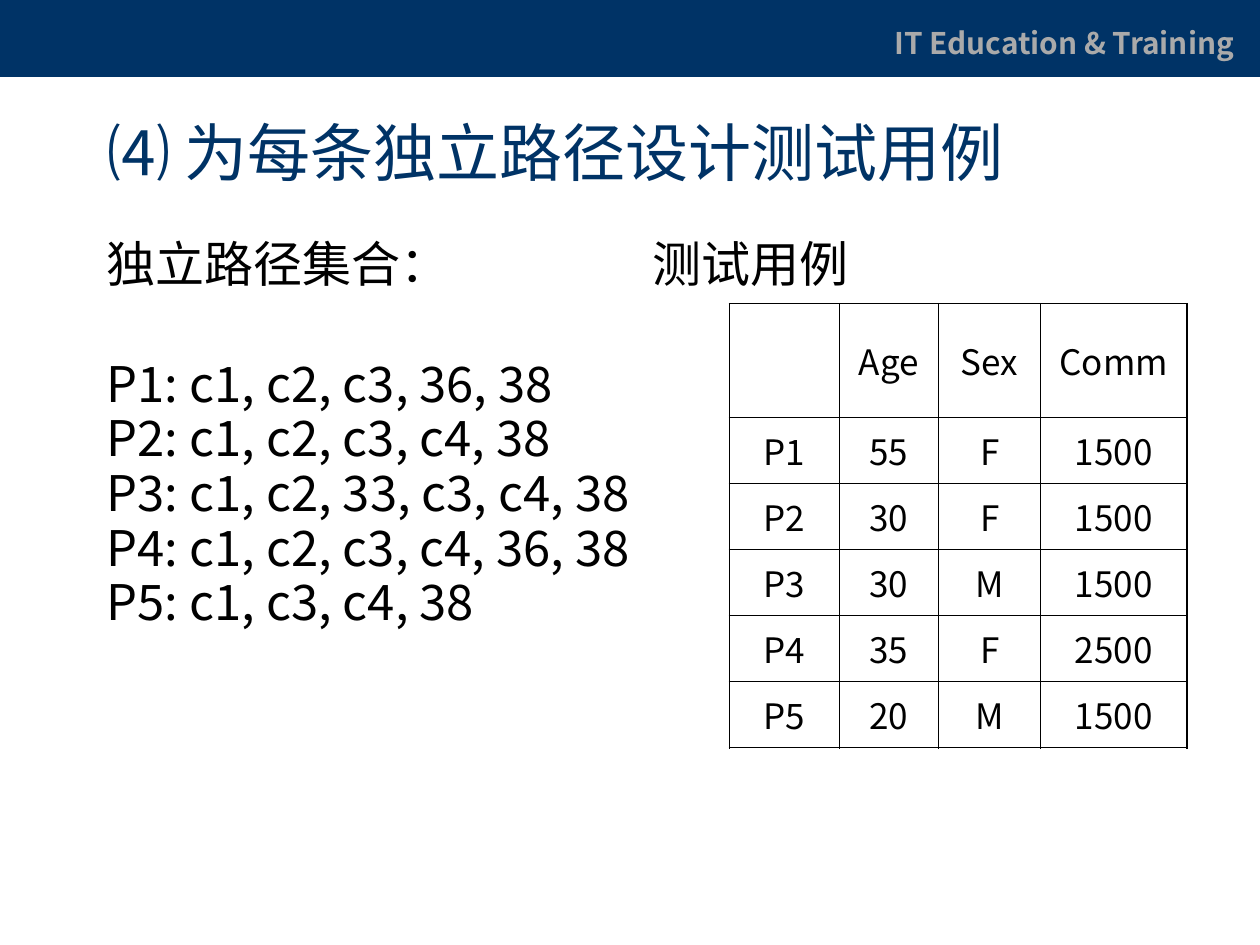
from pptx import Presentation
from pptx.dml.color import RGBColor
from pptx.enum.shapes import MSO_SHAPE
from pptx.enum.text import MSO_ANCHOR, MSO_AUTO_SIZE, PP_ALIGN
from pptx.oxml.ns import qn
from pptx.util import Inches, Pt
from lxml import etree

RECTANGLE = MSO_SHAPE.RECTANGLE
TOP, MIDDLE = MSO_ANCHOR.TOP, MSO_ANCHOR.MIDDLE
LEFT, CENTER = PP_ALIGN.LEFT, PP_ALIGN.CENTER
NO_AUTOFIT = MSO_AUTO_SIZE.NONE

NAVY = RGBColor(0x00, 0x33, 0x66)
GRAY = RGBColor(0xAA, 0xAA, 0xAA)
BLACK = RGBColor(0x00, 0x00, 0x00)

TITLE_ONLY = 5
OUTER_LINE, INNER_LINE = Pt(1.08), Pt(0.45)

PATHS = [
    "P1: c1, c2, c3, 36, 38",
    "P2: c1, c2, c3, c4, 38",
    "P3: c1, c2, 33, c3, c4, 38",
    "P4: c1, c2, c3, c4, 36, 38",
    "P5: c1, c3, c4, 38",
]
TEST_CASES = [
    ["", "Age", "Sex", "Comm"],
    ["P1", "55", "F", "1500"],
    ["P2", "30", "F", "1500"],
    ["P3", "30", "M", "1500"],
    ["P4", "35", "F", "2500"],
    ["P5", "20", "M", "1500"],
]
COLUMN_WIDTHS = [0.87, 0.79, 0.81, 1.16]
ROW_HEIGHTS = [0.9] + [0.525] * 5


class SlideBuilder:
    """Holds the type style and the slide being filled."""

    font_name = "Noto Sans CJK SC"

    def __init__(self, slide):
        self.slide = slide

    def style(self, paragraph, size, color, bold=False, align=LEFT):
        paragraph.alignment = align
        for run in paragraph.runs:
            font = run.font
            font.name, font.size, font.bold = self.font_name, Pt(size), bold
            font.color.rgb = color
            east_asian = etree.SubElement(run._r.get_or_add_rPr(), qn("a:ea"))
            east_asian.set("typeface", self.font_name)

    def band(self, left, top, width, height, color):
        band = self.slide.shapes.add_shape(
            RECTANGLE, Inches(left), Inches(top), Inches(width), Inches(height))
        band.shadow.inherit = False
        band.fill.solid()
        band.fill.fore_color.rgb = color
        band.line.fill.background()

    def title(self, text, left, top, width, height, size, color):
        title = self.slide.shapes.title
        title.left, title.top = Inches(left), Inches(top)
        title.width, title.height = Inches(width), Inches(height)
        frame = title.text_frame
        frame.text = text
        frame.auto_size = NO_AUTOFIT
        frame.vertical_anchor = MIDDLE
        self.style(frame.paragraphs[0], size, color)

    def text(self, lines, left, top, width, height, size, color,
             bold=False, line_spacing=None):
        box = self.slide.shapes.add_textbox(
            Inches(left), Inches(top), Inches(width), Inches(height))
        frame = box.text_frame
        frame.word_wrap = True
        frame.vertical_anchor = TOP
        frame.text = "\n".join(lines)
        for paragraph in frame.paragraphs:
            self.style(paragraph, size, color, bold)
            paragraph.line_spacing = line_spacing
        return frame

    def border(self, cell, side, width):
        line = etree.SubElement(
            cell._tc.get_or_add_tcPr(), qn(f"a:ln{side}"), w=str(width))
        fill = etree.SubElement(line, qn("a:solidFill"))
        etree.SubElement(fill, qn("a:srgbClr"), val=str(BLACK))

    def table(self, rows, left, top, widths, heights, size):
        table = self.slide.shapes.add_table(
            len(rows), len(widths), Inches(left), Inches(top),
            Inches(sum(widths)), Inches(sum(heights))).table
        table.first_row = table.horz_banding = False
        for column, width in zip(table.columns, widths):
            column.width = Inches(width)
        for row, height in zip(table.rows, heights):
            row.height = Inches(height)
        last_row, last_column = len(rows) - 1, len(widths) - 1
        for r, values in enumerate(rows):
            for c, value in enumerate(values):
                cell = table.cell(r, c)
                cell.text = value
                cell.vertical_anchor = MIDDLE
                self.style(cell.text_frame.paragraphs[0], size, BLACK, align=CENTER)
                # Heavier line around the outside of the table
                on_edge = {"L": c == 0, "R": c == last_column,
                           "T": r == 0, "B": r == last_row}
                for side, outer in on_edge.items():
                    self.border(cell, side, OUTER_LINE if outer else INNER_LINE)
                cell.fill.background()


def main():
    presentation = Presentation()
    presentation.slide_width, presentation.slide_height = Inches(10), Inches(7.5)
    layout = presentation.slide_layouts[TITLE_ONLY]
    builder = SlideBuilder(presentation.slides.add_slide(layout))

    # Header band
    builder.band(0, 0, 10, 0.61, NAVY)
    builder.text(["IT Education & Training"], 7, 0.15, 2.93, 0.4, 17, GRAY, bold=True)

    # Title
    builder.title("⑷ 为每条独立路径设计测试用例", 0.75, 0.68, 8.5, 1.04, 36, NAVY)

    # Independent paths, with a one-line gap below the heading
    path_list = builder.text(["独立路径集合：", *PATHS], 0.75, 1.86, 4.8, 4.5,
                             28, BLACK, line_spacing=0.9)
    first_path, *other_paths = path_list.paragraphs[1:]
    first_path.space_before = Pt(38)
    for path in other_paths:
        path.space_before = Pt(1)

    # Test cases
    builder.text(["测试用例"], 5.08, 1.86, 4.16, 0.55, 28, BLACK, line_spacing=0.9)
    builder.table(TEST_CASES, 5.79, 2.41, COLUMN_WIDTHS, ROW_HEIGHTS, 20)

    presentation.save("out.pptx")


if __name__ == "__main__":
    main()
